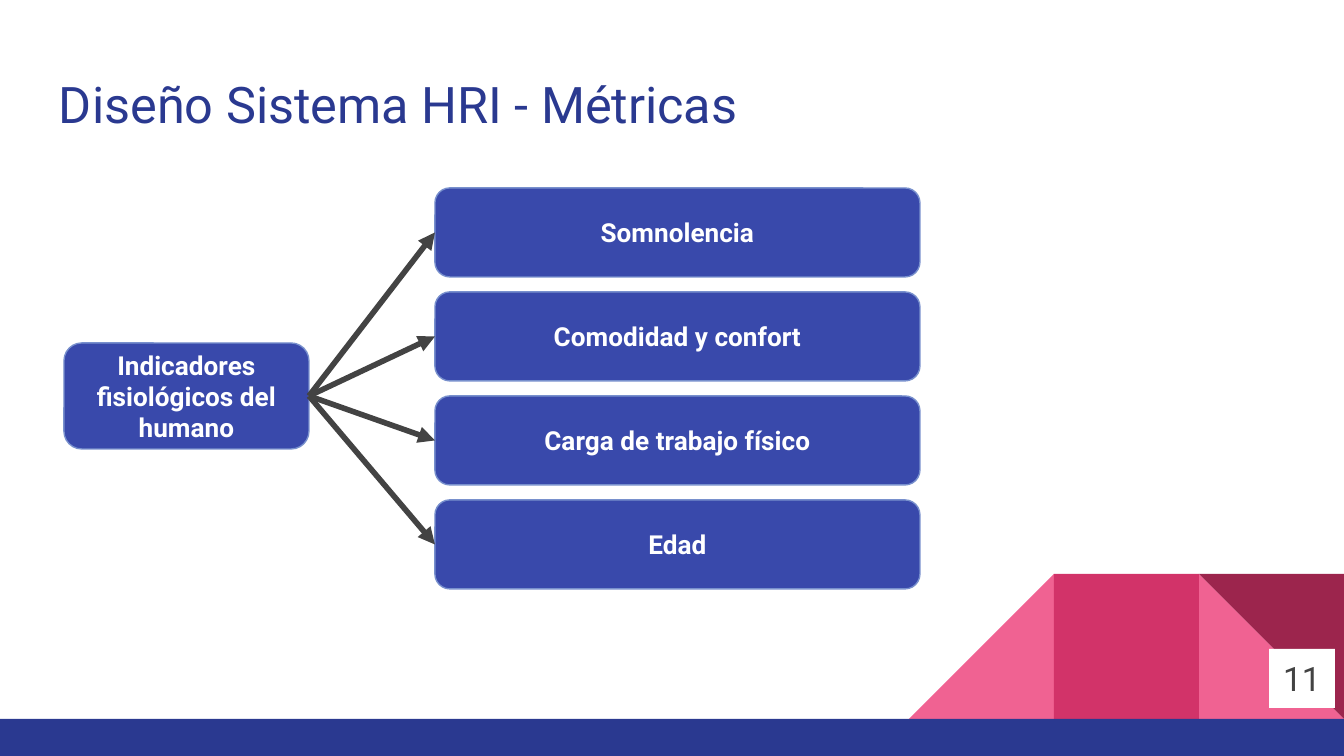
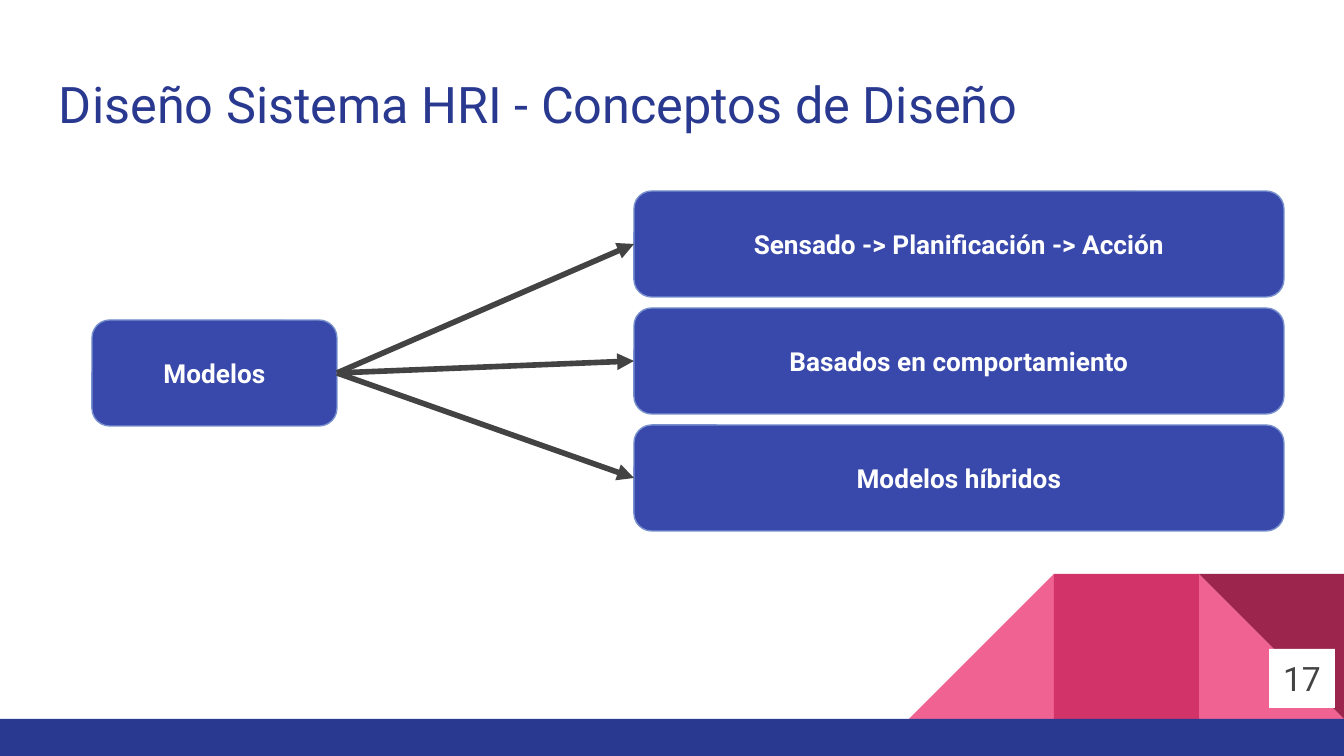
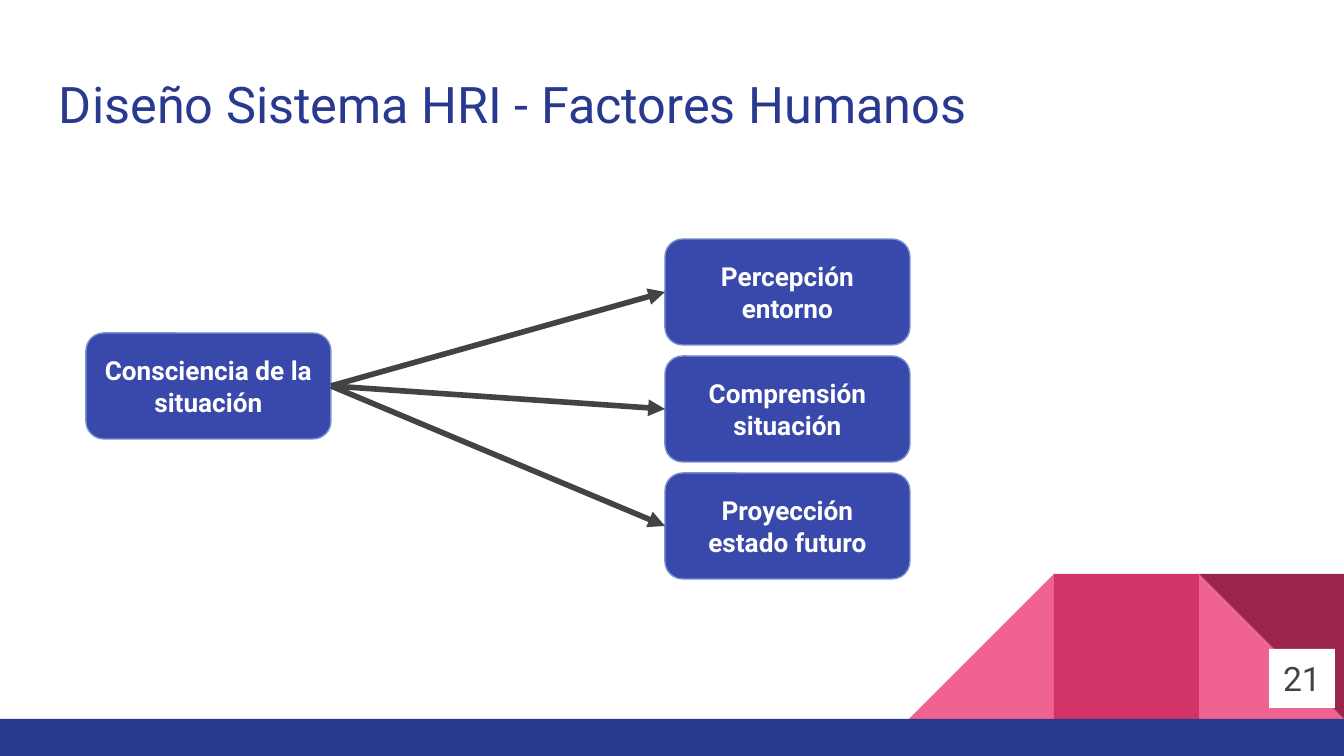
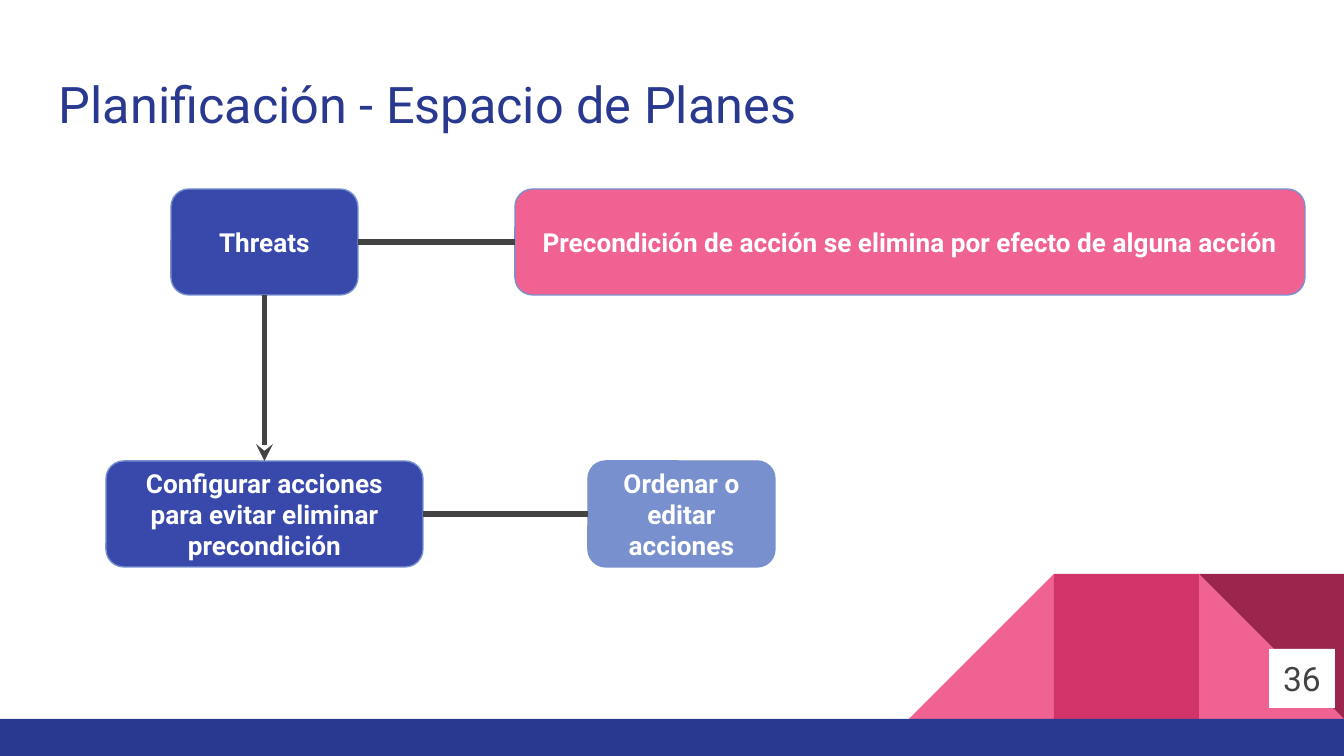
from pptx import Presentation, util as u
from pptx.dml.color import RGBColor
from pptx.enum import shapes, text as t
from pptx.oxml.ns import qn
from lxml import etree

PX = 914400 / 134.4
NAVY, BLUE, SKY = "2A3990", "3949AB", "7890CD"
PINK, ROSE, WINE = "F06292", "D23369", "9C254D"
GRAY, WHITE = "434343", "FFFFFF"
FORM = shapes.MSO_SHAPE
TOP, LEFT, DOWN, RIGHT = range(4)
hue = RGBColor.from_string

deck = Presentation()
deck.slide_width, deck.slide_height = u.Inches(10), u.Inches(5.625)


def box(page, area, text="", form=FORM.ROUNDED_RECTANGLE, fill=BLUE, line=None,
        size=14, ink=WHITE, bold=False, align="CENTER", anchor="MIDDLE", wrap=True):
    """Add a shape, or a plain text box if form is None, and its text."""
    spot = [round(n * PX) for n in area]
    if form is None:
        item = page.shapes.add_textbox(*spot)
    else:
        item = page.shapes.add_shape(form, *spot)
        item.shadow.inherit = False
        item.fill.solid()
        item.fill.fore_color.rgb = hue(fill)
        if line:
            item.line.color.rgb = hue(line)
            item.line.width = u.Pt(0.75)
        else:
            item.line.fill.background()
        if form == FORM.ROUNDED_RECTANGLE:
            item.adjustments[0] = 0.167
    if text:
        frame = item.text_frame
        frame.word_wrap = wrap
        frame.vertical_anchor = t.MSO_ANCHOR[anchor]
        frame.margin_left = frame.margin_right = round(13 * PX)
        frame.margin_top = frame.margin_bottom = round(13 * PX)
        par = frame.paragraphs[0]
        par.alignment = t.PP_ALIGN[align]
        run = par.add_run()
        run.text = text
        run.font.name, run.font.size, run.font.bold = "Roboto", u.Pt(size), bold
        run.font.color.rgb = hue(ink)
    return item


def link(page, start, end, out=RIGHT, into=LEFT, head=None):
    """Join two boxes with a thick line."""
    wire = page.shapes.add_connector(shapes.MSO_CONNECTOR.STRAIGHT, 0, 0, 0, 0)
    wire.begin_connect(start, out)
    wire.end_connect(end, into)
    wire.line.color.rgb = hue(GRAY)
    wire.line.width = u.Pt(3)
    if head:
        etree.SubElement(wire.line._get_or_add_ln(), qn("a:tailEnd"), type=head)
    etree.SubElement(wire._element.spPr, qn("a:effectLst"))


# Shared look: title, corner pattern, bottom band, page number
heads = [(11, "Diseño Sistema HRI - Métricas"),
         (17, "Diseño Sistema HRI - Conceptos de Diseño"),
         (21, "Diseño Sistema HRI - Factores Humanos"),
         (36, "Planificación - Espacio de Planes")]
pages = []
for num, title in heads:
    page = deck.slides.add_slide(deck.slide_layouts[6])
    pages.append(page)
    tiles = [(2, FORM.RIGHT_TRIANGLE, PINK), (0, FORM.RIGHT_TRIANGLE, PINK),
             (1, FORM.RECTANGLE, ROSE), (2, FORM.RIGHT_TRIANGLE, WINE)]
    for col, form, fill in tiles:
        tile = box(page, (909 + 145 * col, 574, 145, 145), form=form, fill=fill)
        if col == 0:
            tile._element.spPr.xfrm.set("flipH", "1")
        if fill == WINE:
            tile.rotation = 180
    box(page, (0, 719, 1344, 37), form=FORM.RECTANGLE, fill=NAVY)
    box(page, (46, 60, 1253, 89), title, form=None, size=27, ink=NAVY,
        align="LEFT", anchor="TOP")
    box(page, (1269, 649, 66, 59), str(num), form=FORM.RECTANGLE, fill=WHITE,
        size=18, ink=GRAY, wrap=False)

# Fans: hub place and text, first leaf area, step, leaf texts
fans = [
    ((64, 343), "Indicadores fisiológicos del humano", (435, 188, 485, 89), 104,
     ["Somnolencia", "Comodidad y confort", "Carga de trabajo físico", "Edad"]),
    ((92, 320), "Modelos", (634, 191, 650, 106), 117,
     ["Sensado -> Planificación -> Acción", "Basados en comportamiento",
      "Modelos híbridos"]),
    ((86, 333), "Consciencia de la situación", (665, 239, 245, 106), 117,
     ["Percepción entorno", "Comprensión situación", "Proyección estado futuro"]),
]
for page, (place, name, (x, y, w, h), step, leaves) in zip(pages, fans):
    hub = box(page, (*place, 245, 106), name, line=SKY, bold=True)
    for i, word in enumerate(leaves):
        leaf = box(page, (x, y + i * step, w, h), word, line=SKY, bold=True)
        link(page, hub, leaf, head="triangle")

# Threats and how to solve them
page = pages[3]
cells = [(171, 189, 187, BLUE, "Threats"),
         (515, 189, 790, PINK,
          "Precondición de acción se elimina por efecto de alguna acción"),
         (106, 461, 317, BLUE, "Configurar acciones para evitar eliminar precondición"),
         (588, 461, 187, SKY, "Ordenar o editar acciones")]
threat, cause, setup, fix = [
    box(page, (x, y, w, 106), word, fill=fill, line=SKY, bold=True)
    for x, y, w, fill, word in cells]
link(page, threat, cause)
link(page, threat, setup, out=DOWN, into=TOP, head="stealth")
link(page, setup, fix)

deck.save("out.pptx")
